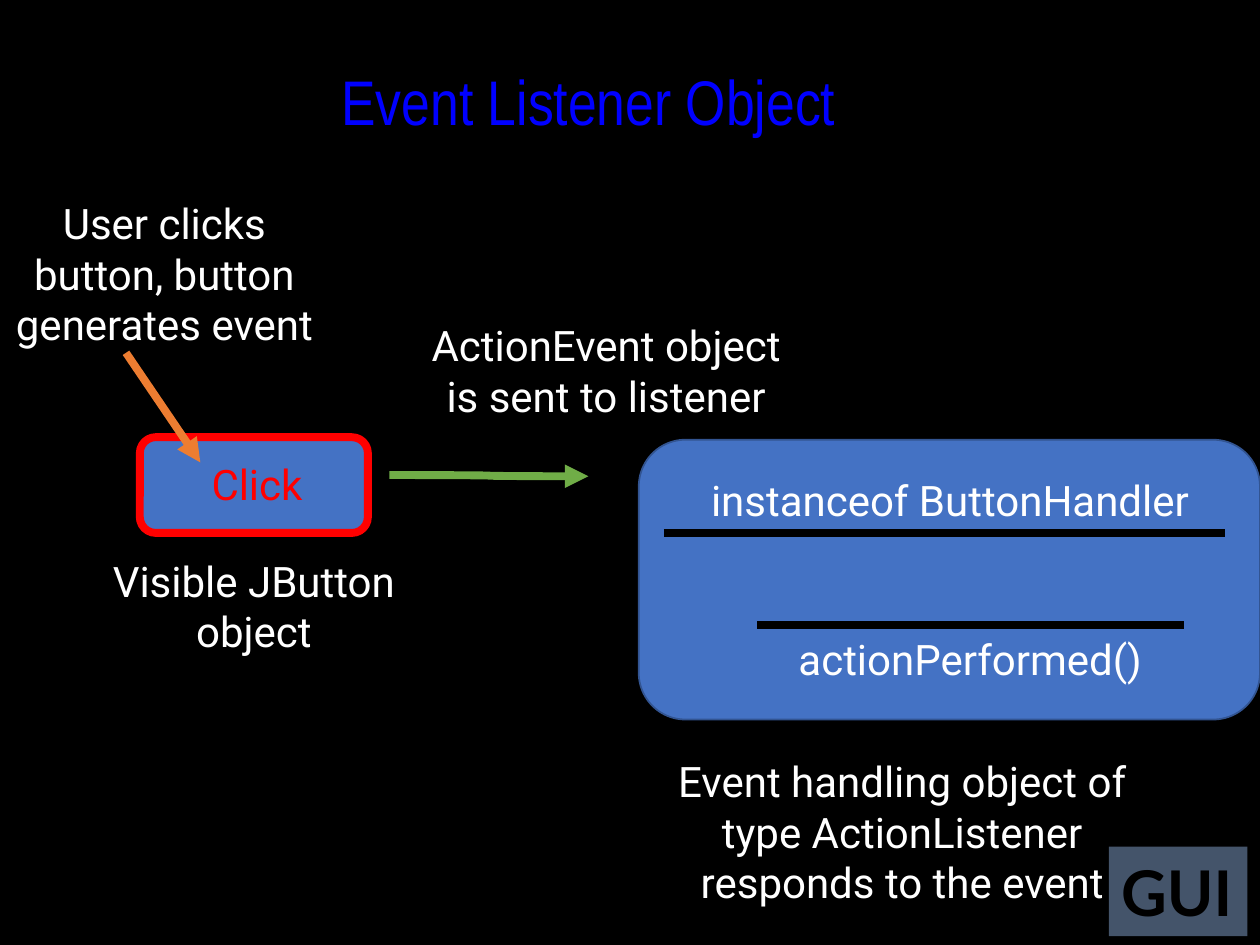
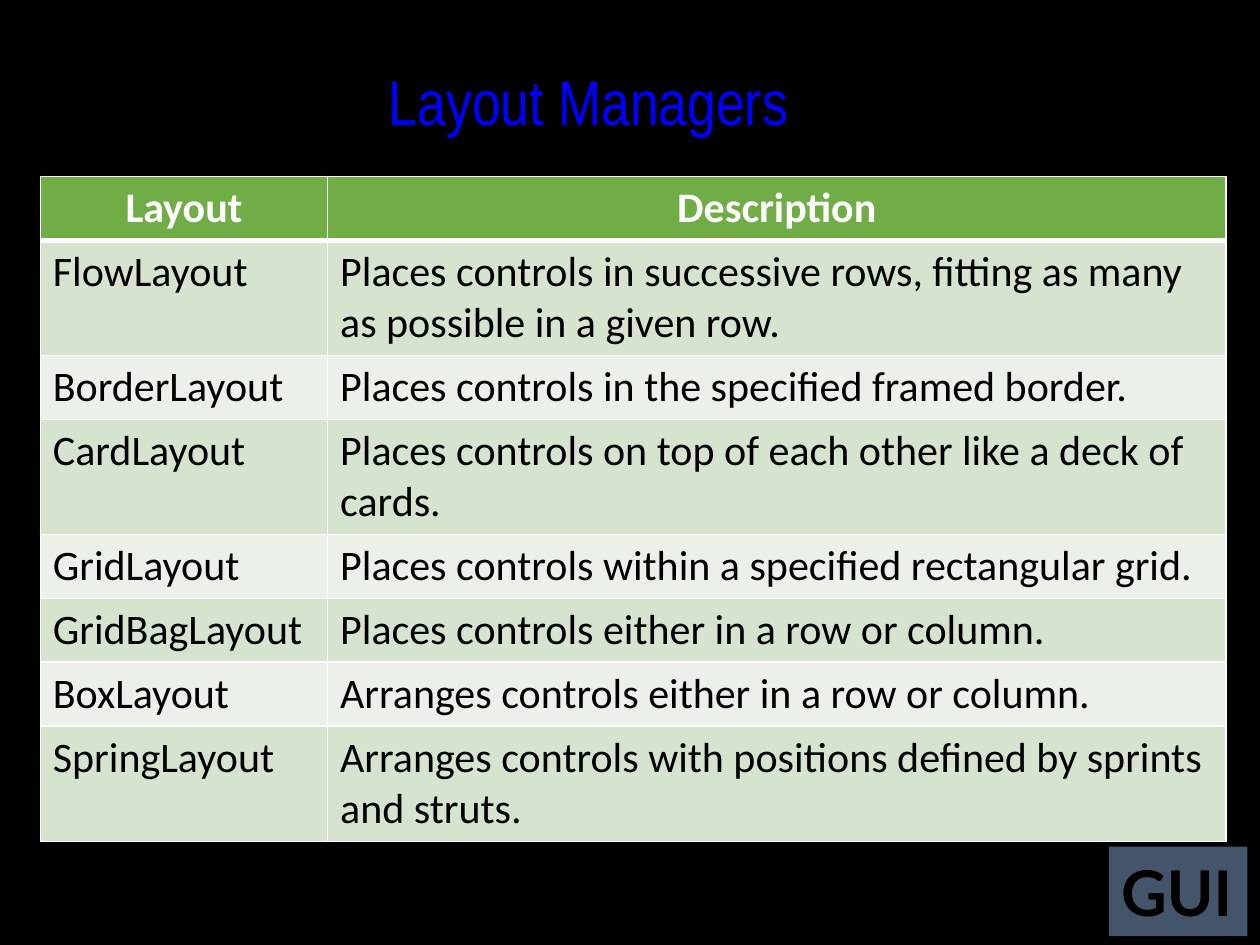
from lxml import etree
from pptx import Presentation
from pptx.dml.color import RGBColor
from pptx.enum.shapes import MSO_CONNECTOR, MSO_SHAPE
from pptx.enum.text import MSO_ANCHOR, PP_ALIGN
from pptx.oxml.ns import qn
from pptx.util import Inches, Pt

STRAIGHT, CURVE = MSO_CONNECTOR.STRAIGHT, MSO_CONNECTOR.CURVE
RECTANGLE, ROUNDED = MSO_SHAPE.RECTANGLE, MSO_SHAPE.ROUNDED_RECTANGLE
MIDDLE, CENTER, LEFT = MSO_ANCHOR.MIDDLE, PP_ALIGN.CENTER, PP_ALIGN.LEFT

BLACK, WHITE, RED = "000000", "FFFFFF", "FF0000"
TITLE_BLUE, TITLE_OUTLINE = "0000FF", "FFFF00"
BLUE, DARK_BLUE, SLATE = "4472C4", "325491", "44546A"
ORANGE, GREEN = "ED7D31", "70AD47"
BANDS = ("D5E3CF", "EBF1E9")

LISTENER_TITLE = "Event Listener Object"
BOXES = [
    ((1.11, 3.47, 1.81, 0.76), BLUE, RED, 4.5),
    ((5.07, 3.49, 4.93, 2.22), BLUE, DARK_BLUE, 1),
]
LINES = [
    (STRAIGHT, (1, 2.8), (1.59, 3.67), ORANGE, True),
    (CURVE, (3.09, 3.77), (4.67, 3.78), GREEN, True),
    (STRAIGHT, (5.27, 4.23), (9.72, 4.23), BLACK, False),
    (STRAIGHT, (6.01, 4.96), (9.4, 4.96), BLACK, False),
]
LABELS = [
    ("User clicks button, button generates event", (0, 1.52, 2.61, 1.31), WHITE),
    ("ActionEvent object is sent to listener", (3.17, 2.49, 3.28, 0.91), WHITE),
    ("instanceof ButtonHandler", (5.48, 3.72, 4.12, 0.5), WHITE),
    ("actionPerformed()", (5.64, 4.98, 4.12, 0.5), WHITE),
    ("Visible JButton object", (0.31, 4.36, 3.41, 0.5), WHITE),
    ("Event handling object of type ActionListener responds to the event",
     (5.15, 5.95, 4.02, 1.31), WHITE),
    ("Click", (1.5, 3.59, 1.08, 0.5), RED),
]

MANAGERS_TITLE = "Layout Managers"
COLUMN_WIDTHS = (2.28, 7.13)
ONE_LINE, TWO_LINES = 0.5, 0.9
MANAGERS = [
    ("Layout", "Description", ONE_LINE),
    ("FlowLayout", "Places controls in successive rows, fitting as many as possible "
     "in a given row.", TWO_LINES),
    ("BorderLayout", "Places controls in the specified framed border.", ONE_LINE),
    ("CardLayout", "Places controls on top of each other like a deck of cards.", TWO_LINES),
    ("GridLayout", "Places controls within a specified rectangular grid.", ONE_LINE),
    ("GridBagLayout", "Places controls either in a row or column.", ONE_LINE),
    ("BoxLayout", "Arranges controls either in a row or column.", ONE_LINE),
    ("SpringLayout", "Arranges controls with positions defined by sprints and struts.",
     TWO_LINES),
]


def rgb(color):
    return RGBColor.from_string(color)


def inches(lengths):
    return [Inches(length) for length in lengths]


def write(frame, text, font, size, color, align=CENTER, bold=False):
    frame.text = text
    paragraph = frame.paragraphs[0]
    paragraph.alignment = align
    run = paragraph.runs[0]
    run.font.name, run.font.size, run.font.bold = font, Pt(size), bold
    run.font.color.rgb = rgb(color)
    return run


def line_element(tag, color, points):
    line = etree.Element(qn(tag), w=str(Pt(points)))
    fill = etree.SubElement(line, qn("a:solidFill"))
    etree.SubElement(fill, qn("a:srgbClr"), val=color)
    return line


def add_box(slide, preset, place, fill, outline=None, points=0):
    box = slide.shapes.add_shape(preset, *inches(place))
    box.shadow.inherit = False
    box.fill.solid()
    box.fill.fore_color.rgb = rgb(fill)
    if outline:
        box.line.color.rgb = rgb(outline)
        box.line.width = Pt(points)
    else:
        box.line.fill.background()
    return box


def add_line(slide, route, start, end, color, arrow):
    connector = slide.shapes.add_connector(route, *inches(start + end))
    connector.line.color.rgb = rgb(color)
    connector.line.width = Pt(4.5)
    if arrow:
        etree.SubElement(connector.line._get_or_add_ln(), qn("a:tailEnd"), type="triangle")
    etree.SubElement(connector._element.spPr, qn("a:effectLst"))


def add_label(slide, text, place, color):
    frame = slide.shapes.add_textbox(*inches(place)).text_frame
    frame.word_wrap = True
    write(frame, text, "Roboto", 24, color)


def add_slide(prs, heading):
    slide = prs.slides.add_slide(prs.slide_layouts[5])
    title = slide.shapes.title
    title.left, title.top, title.width, title.height = inches((1.17, 0.42, 7, 0.75))
    title.text_frame.word_wrap = False
    title.text_frame.vertical_anchor = MIDDLE
    run = write(title.text_frame, heading, "Arial Narrow", 36, TITLE_BLUE)
    run.font._element.insert(0, line_element("a:ln", TITLE_OUTLINE, 2))

    badge = add_box(slide, RECTANGLE, (8.8, 6.72, 1.1, 0.71), SLATE).text_frame
    badge.word_wrap = False
    badge.vertical_anchor = MIDDLE
    write(badge, "GUI", "Lato", 36, BLACK, LEFT, True)
    return slide


def add_managers_table(slide):
    height = sum(row[-1] for row in MANAGERS)
    place = inches((0.32, 1.4, sum(COLUMN_WIDTHS), height))
    table = slide.shapes.add_table(len(MANAGERS), len(COLUMN_WIDTHS), *place).table
    for column, width in zip(table.columns, COLUMN_WIDTHS):
        column.width = Inches(width)
    for r, (*texts, row_height) in enumerate(MANAGERS):
        table.rows[r].height = Inches(row_height)
        header = r == 0
        borders = {"L": 1, "R": 1, "T": 3 if r == 1 else 1, "B": 3 if header else 1}
        for c, text in enumerate(texts):
            cell = table.cell(r, c)
            write(cell.text_frame, text, "Calibri", 24, WHITE if header else BLACK,
                  CENTER if header else LEFT, header)
            properties = cell._tc.get_or_add_tcPr()
            for side, points in borders.items():
                properties.append(line_element(f"a:ln{side}", WHITE, points))
            cell.fill.solid()
            cell.fill.fore_color.rgb = rgb(GREEN if header else BANDS[(r - 1) % 2])


def main():
    prs = Presentation()
    prs.slide_width, prs.slide_height = inches((10, 7.5))
    background = prs.slide_master.background.fill
    background.solid()
    background.fore_color.rgb = rgb(BLACK)

    listener = add_slide(prs, LISTENER_TITLE)
    for place, fill, outline, points in BOXES:
        add_box(listener, ROUNDED, place, fill, outline, points)
    for line in LINES:
        add_line(listener, *line)
    for label in LABELS:
        add_label(listener, *label)

    add_managers_table(add_slide(prs, MANAGERS_TITLE))
    prs.save("out.pptx")


if __name__ == "__main__":
    main()
